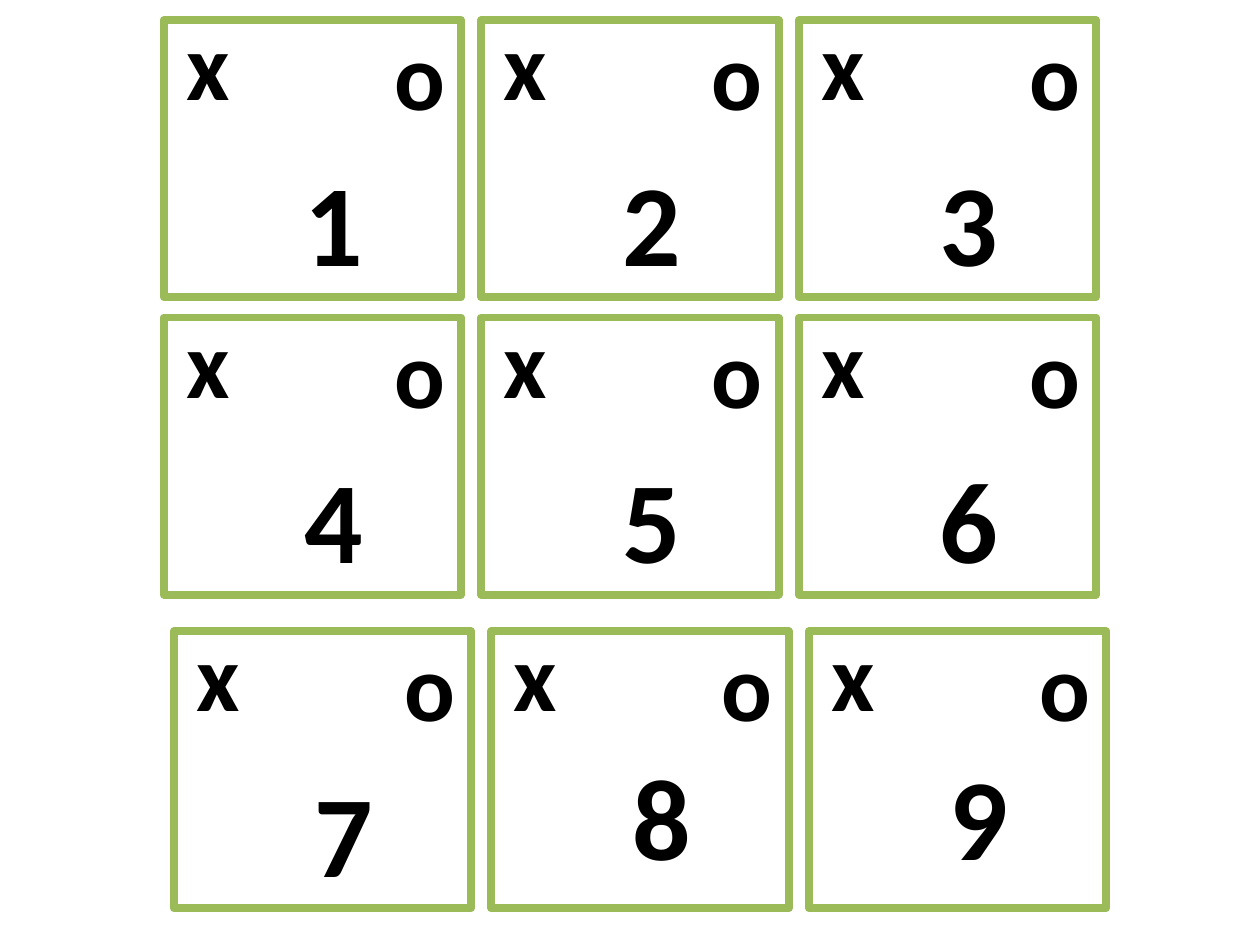
"""Build a three by three grid of numbered cards, each with an x and an o."""
from pptx import Presentation
from pptx.dml.color import RGBColor
from pptx.enum.shapes import MSO_SHAPE
from pptx.enum.text import MSO_AUTO_SIZE
from pptx.util import Pt

RECTANGLE = MSO_SHAPE.RECTANGLE
FIT_SHAPE = MSO_AUTO_SIZE.SHAPE_TO_FIT_TEXT
BLANK_LAYOUT = 6
PIXEL = 9144

SLIDE_SIZE = (1000, 750)
CARD_SIZE = (236, 220)
COLUMN_PITCH = 252
ROWS = [
    {"left": 130, "top": 16, "numbers": "123"},
    {"left": 130, "top": 252, "numbers": "456"},
    {"left": 138, "top": 501, "numbers": "789"},
]
MARKS = [
    ("x", (8, -16, 55, 101), 54),
    ("o", (173, -8, 61, 101), 54),
]
NUMBER_BOX = (102, 99, 67, 121)
NUMBER_POINTS = 66
NUMBER_SHIFTS = {"8": -14, "9": -14}


def color(value):
    return RGBColor.from_string(value)


def emu(*lengths):
    return [length * PIXEL for length in lengths]


def set_values(target, values):
    for name, value in values.items():
        setattr(target, name, value)


def add_card(slide, left, top):
    shape = slide.shapes.add_shape(RECTANGLE, *emu(left, top, *CARD_SIZE))
    shape.shadow.inherit = False
    shape.fill.solid()
    shape.fill.fore_color.rgb = color("FFFFFF")
    shape.line.color.rgb = color("9BBB59")
    shape.line.width = Pt(4.5)


def add_mark(slide, text, left, top, box, points):
    x, y, width, height = box
    shape = slide.shapes.add_textbox(*emu(left + x, top + y, width, height))
    set_values(shape.text_frame, {"word_wrap": False, "auto_size": FIT_SHAPE})
    paragraph = shape.text_frame.paragraphs[0]
    run = paragraph.add_run()
    run.text = text
    set_values(run.font, {"name": "Calibri", "size": Pt(points), "bold": True})
    run.font.color.rgb = color("000000")


def main():
    presentation = Presentation()
    presentation.slide_width, presentation.slide_height = emu(*SLIDE_SIZE)
    slide = presentation.slides.add_slide(presentation.slide_layouts[BLANK_LAYOUT])
    for row in ROWS:
        for column, number in enumerate(row["numbers"]):
            left, top = row["left"] + column * COLUMN_PITCH, row["top"]
            add_card(slide, left, top)
            for text, box, points in MARKS:
                add_mark(slide, text, left, top, box, points)
            number_top = top + NUMBER_SHIFTS.get(number, 0)
            add_mark(slide, number, left, number_top, NUMBER_BOX, NUMBER_POINTS)
    presentation.save("out.pptx")


if __name__ == "__main__":
    main()
